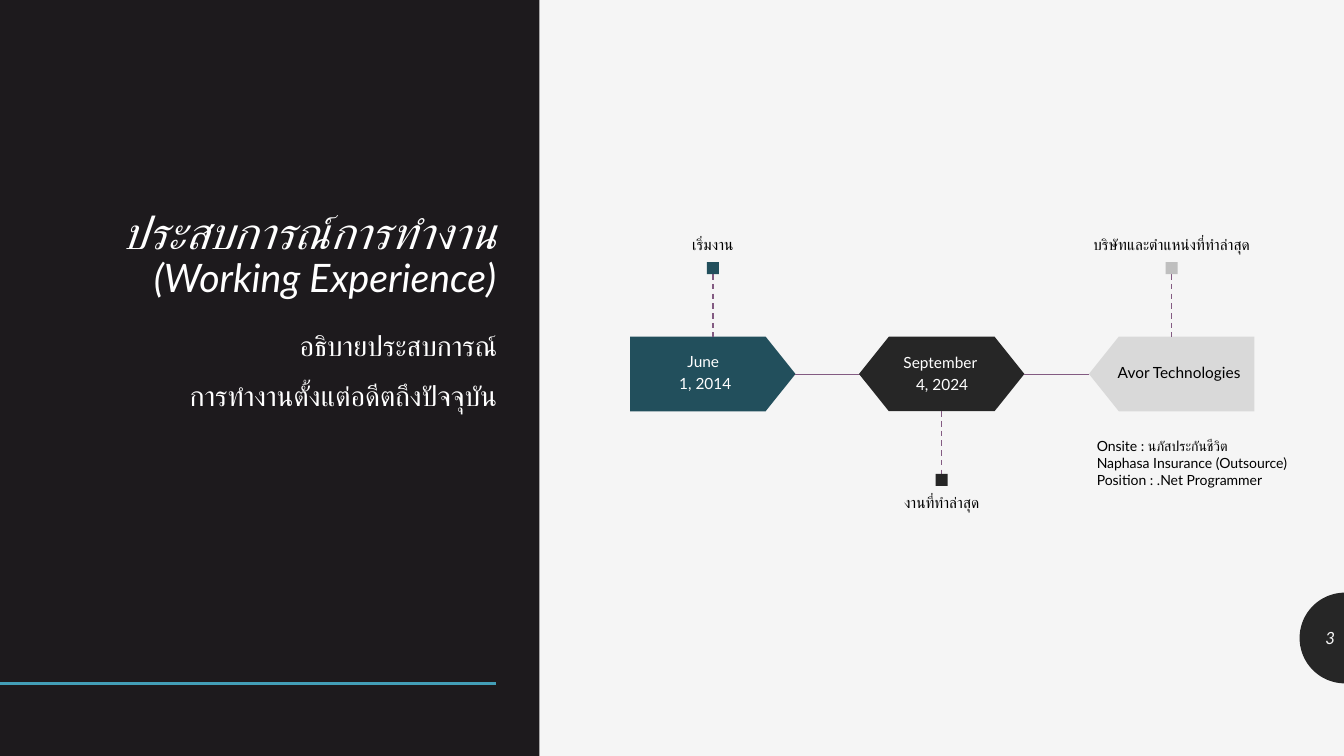
import math
import pptx
import pptx.util
from pptx.dml.color import RGBColor
from pptx.enum.dml import MSO_LINE
from pptx.enum.shapes import MSO_CONNECTOR, MSO_SHAPE
from pptx.enum.text import MSO_ANCHOR, PP_ALIGN
from pptx.oxml.ns import qn

PX = 9144
COLORS = {
    "paper": "F5F5F5", "panel": "1D1A1D", "ink": "262626", "accent": "439EB7",
    "teal": "224F5C", "plum": "835B82", "silver": "D9D9D9", "gray": "BFBFBF",
    "white": "FFFFFF", "black": "000000",
}


def rgb(name):
    return RGBColor.from_string(COLORS[name])


class Deck:
    font = "Lato"

    def __init__(self, width, height):
        self.prs = pptx.Presentation()
        self.prs.slide_width = width * PX
        self.prs.slide_height = height * PX
        self.s = None

    def add_slide(self, background):
        self.s = self.prs.slides.add_slide(self.prs.slide_layouts[6])
        fill = self.s.background.fill
        fill.solid()
        fill.fore_color.rgb = rgb(background)

    def paint(self, sp, color):
        sp.shadow.inherit = False
        sp.fill.solid()
        sp.fill.fore_color.rgb = rgb(color)
        sp.line.fill.background()

    def shape(self, kind, x, y, w, h, color, adj=None, rotation=0):
        sp = self.s.shapes.add_shape(kind, x * PX, y * PX, w * PX, h * PX)
        self.paint(sp, color)
        if adj is not None:
            sp.adjustments[0] = adj
        sp.rotation = rotation

    def half_disc(self, x, y, radius, color):
        points = []
        for angle in range(90, 271, 4):
            a = math.radians(angle)
            points.append(((x + radius * math.cos(a)) * PX, (y + radius * math.sin(a)) * PX))
        builder = self.s.shapes.build_freeform(*points[0])
        builder.add_line_segments(points[1:], close=True)
        self.paint(builder.convert_to_shape(), color)

    def line(self, x1, y1, x2, y2, color, width, dashed=False):
        cx = self.s.shapes.add_connector(
            MSO_CONNECTOR.STRAIGHT, x1 * PX, y1 * PX, x2 * PX, y2 * PX)
        cx.line.color.rgb = rgb(color)
        cx.line.width = pptx.util.Pt(width)
        if dashed:
            cx.line.dash_style = MSO_LINE.DASH
        sp_pr = cx._element.spPr
        sp_pr.append(sp_pr.makeelement(qn("a:effectLst"), {}))

    def text(self, x, y, w, h, paragraphs, size=11, color="black", italic=False,
             align=PP_ALIGN.CENTER, anchor=MSO_ANCHOR.TOP, inset=(10, 5),
             spacing=None, before=0, after=0):
        tf = self.s.shapes.add_textbox(x * PX, y * PX, w * PX, h * PX).text_frame
        tf.word_wrap = True
        tf.vertical_anchor = anchor
        tf.margin_left = tf.margin_right = inset[0] * PX
        tf.margin_top = tf.margin_bottom = inset[1] * PX
        for i, lines in enumerate(paragraphs):
            p = tf.add_paragraph() if i else tf.paragraphs[0]
            p.alignment = align
            p.line_spacing = spacing
            p.space_before = pptx.util.Pt(before if i else 0)
            p.space_after = pptx.util.Pt(after)
            if isinstance(lines, str):
                lines = [(lines, size)]
            for j, (words, run_size) in enumerate(lines):
                if j:
                    p.add_line_break()
                r = p.add_run()
                r.text = words
                r.font.name = self.font
                r.font.size = pptx.util.Pt(run_size)
                r.font.italic = italic
                r.font.color.rgb = rgb(color)


def build_panel(deck):
    deck.half_disc(1334, 633, 45, "ink")
    deck.shape(MSO_SHAPE.RECTANGLE, 0, 0, 535, 750, "panel")
    deck.line(0, 678, 492, 678, "accent", 2)
    deck.text(83, 61, 419, 243,
              [[("ประสบการณ์การทำงาน", 32), ("(Working Experience)", 28)]],
              color="white", italic=True, align=PP_ALIGN.RIGHT,
              anchor=MSO_ANCHOR.BOTTOM, spacing=0.9)
    deck.text(83, 317, 420, 312, ["อธิบายประสบการณ์", "การทำงานตั้งแต่อดีตถึงปัจจุบัน"],
              size=20, color="white", align=PP_ALIGN.RIGHT, spacing=1.12, before=9)


def build_timeline(deck):
    pentagon, hexagon = MSO_SHAPE.PENTAGON, MSO_SHAPE.HEXAGON
    top, width, height, marker = 334, 164, 74, 12
    stages = [
        (pentagon, 0, "teal", "teal", "white", ["June ", "1, 2014"],
         (0, 0, 149, 74), "เริ่มงาน", True),
        (hexagon, 0, "ink", "ink", "white", ["September ", "4, 2024"],
         (24, 11, 117, 53), "งานที่ทำล่าสุด", False),
        (pentagon, 180, "silver", "gray", "black", ["Avor Technologies"],
         (15, 0, 149, 74), "บริษัทและตำแหน่งที่ทำล่าสุด", True),
    ]
    for i, stage in enumerate(stages):
        kind, rotation, fill, dot, ink, words, box, label, above = stage
        center = 707 + 455 * i // 2
        left = center - width // 2
        deck.shape(kind, left, top, width, height, fill, adj=0.4, rotation=rotation)
        deck.text(left + box[0], top + box[1], box[2], box[3], words, color=ink,
                  anchor=MSO_ANCHOR.MIDDLE, inset=(9, 9), spacing=0.9, after=3.85)
        if i < len(stages) - 1:
            deck.line(left + width, 371, left + 228, 371, "plum", 0.5)
        if above:
            stem, dot_top, label_top, anchor = (272, top), 260, 62, MSO_ANCHOR.BOTTOM
        else:
            stem, dot_top, label_top, anchor = (top + height, 470), 470, 483, MSO_ANCHOR.TOP
        deck.line(center, stem[0], center, stem[1], "plum", 1, dashed=True)
        deck.shape(MSO_SHAPE.RECTANGLE, center - marker // 2, dot_top, marker, marker, dot)
        deck.text(center - 114, label_top, 228, 198, [label], anchor=anchor,
                  inset=(0, 11), spacing=0.9, after=3.85)


def main():
    deck = Deck(1333, 750)
    deck.add_slide("paper")
    build_panel(deck)
    build_timeline(deck)
    deck.text(1289, 613, 45, 40, ["3"], size=12, color="paper", italic=True,
              align=PP_ALIGN.RIGHT, anchor=MSO_ANCHOR.MIDDLE)
    deck.text(1078, 429, 210, 61,
              ["Onsite : นภัสประกันชีวิต", "Naphasa Insurance (Outsource)",
               "Position : .Net Programmer"], size=10, align=PP_ALIGN.LEFT)
    deck.prs.save("out.pptx")


if __name__ == "__main__":
    main()
